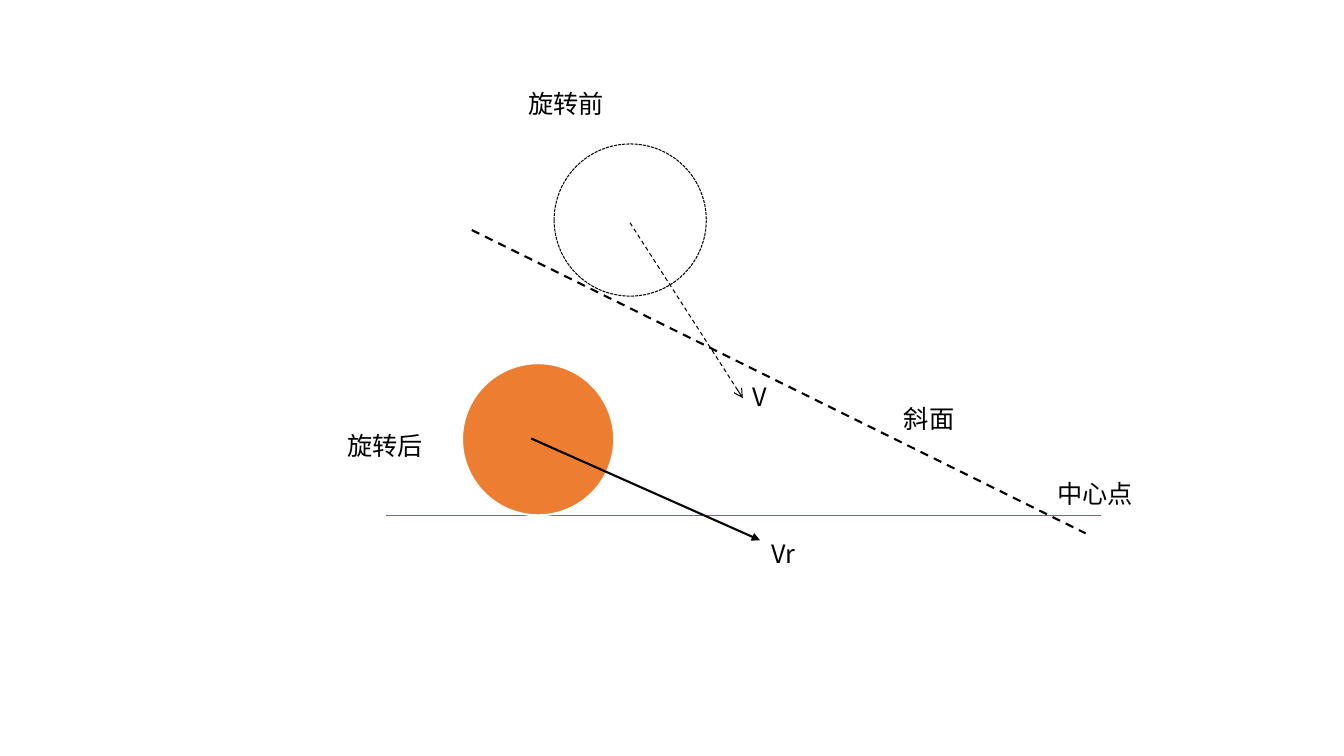
from pptx import Presentation
from pptx.dml.color import RGBColor as RGB
from pptx.enum.dml import MSO_LINE as Dash
from pptx.enum.shapes import MSO_CONNECTOR as Conn, MSO_SHAPE as Shape
from pptx.oxml.ns import qn
from pptx.util import Pt
from lxml.etree import SubElement

THEME = {
    "ink": RGB(0, 0, 0),
    "ground": RGB(0x44, 0x72, 0xC4),
    "ball": RGB(0xED, 0x7D, 0x31),
    "edge": RGB(255, 255, 255),
    "font": "Noto Sans CJK SC",
    "size": 18,
}
DIAM = 108.72
LABEL_H = 29

# start, end, colour, width, dash, arrowhead
PLANES = [
    ((337, 164.3), (775.5, 381), "ink", 1.5, Dash.DASH, None),
    ((275.8, 368.4), (786.2, 368.4), "ground", 0.5, None, None),
]
ARROWS = [
    ((450, 159.1), (530.6, 284.4), "ink", 0.75, Dash.DASH, "arrow"),
    ((379.4, 313.2), (542.9, 385.9), "ink", 1.5, None, "triangle"),
]
# left, top, fill, line colour, width, dash
BALLS = [
    (395.8, 102.8, None, "ink", 0.75, Dash.SQUARE_DOT),
    (330, 259.4, "ball", "edge", 1.5, None),
]
# text, left, top, width
LABELS = [
    ("V", 530.6, 268.6, 26),
    ("斜面", 638.6, 284.4, 51),
    ("Vr", 544.3, 380.9, 32),
    ("旋转后", 241.2, 303.8, 69),
    ("旋转前", 370.1, 59.8, 69),
    ("中心点", 748.1, 338.4, 69),
]


def style(line, color, width, dash):
    line.color.rgb = THEME[color]
    line.width = Pt(width)
    if dash:
        line.dash_style = dash


def draw_line(shapes, start, end, color, width, dash, head):
    ends = [Pt(v) for v in start + end]
    link = shapes.add_connector(Conn.STRAIGHT, *ends)
    style(link.line, color, width, dash)
    props = link._element.spPr
    if head:
        SubElement(props.find(qn("a:ln")), qn("a:tailEnd"), type=head)
    SubElement(props, qn("a:effectLst"))


def draw_ball(shapes, left, top, fill, color, width, dash):
    ball = shapes.add_shape(Shape.OVAL, Pt(left), Pt(top), Pt(DIAM), Pt(DIAM))
    ball.shadow.inherit = False
    if fill:
        ball.fill.solid()
        ball.fill.fore_color.rgb = THEME[fill]
    else:
        ball.fill.background()
    style(ball.line, color, width, dash)


def draw_label(shapes, text, left, top, width):
    box = shapes.add_textbox(Pt(left), Pt(top), Pt(width), Pt(LABEL_H))
    box.text_frame.word_wrap = False
    para = box.text_frame.paragraphs[0]
    run = para.add_run()
    run.text = text
    font = run.font
    font.size = Pt(THEME["size"])
    font.color.rgb = THEME["ink"]
    font.name = THEME["font"]
    SubElement(run._r.get_or_add_rPr(), qn("a:ea"), typeface=THEME["font"])


def main():
    deck = Presentation()
    deck.slide_width, deck.slide_height = Pt(960), Pt(540)
    shapes = deck.slides.add_slide(deck.slide_layouts[6]).shapes
    for draw, items in (
        (draw_line, PLANES),
        (draw_ball, BALLS),
        (draw_line, ARROWS),
        (draw_label, LABELS),
    ):
        for item in items:
            draw(shapes, *item)
    deck.save("out.pptx")


if __name__ == "__main__":
    main()
